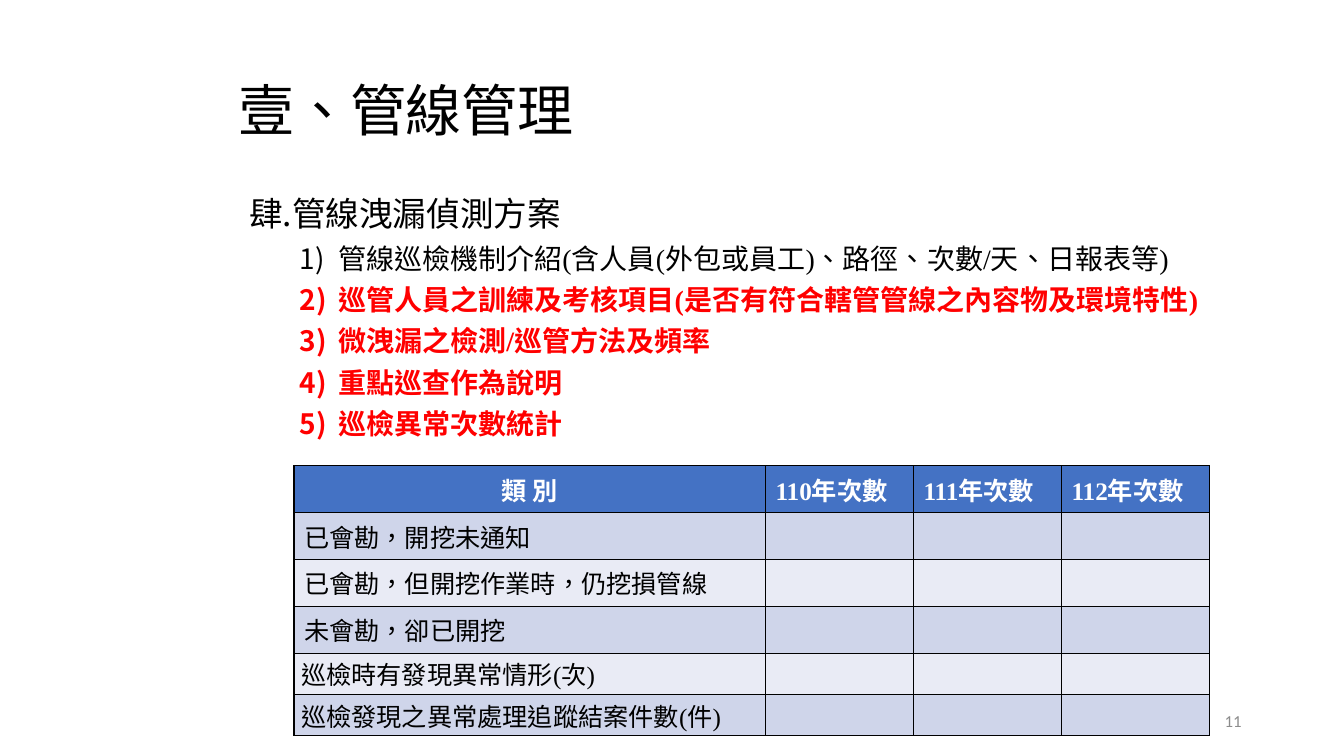
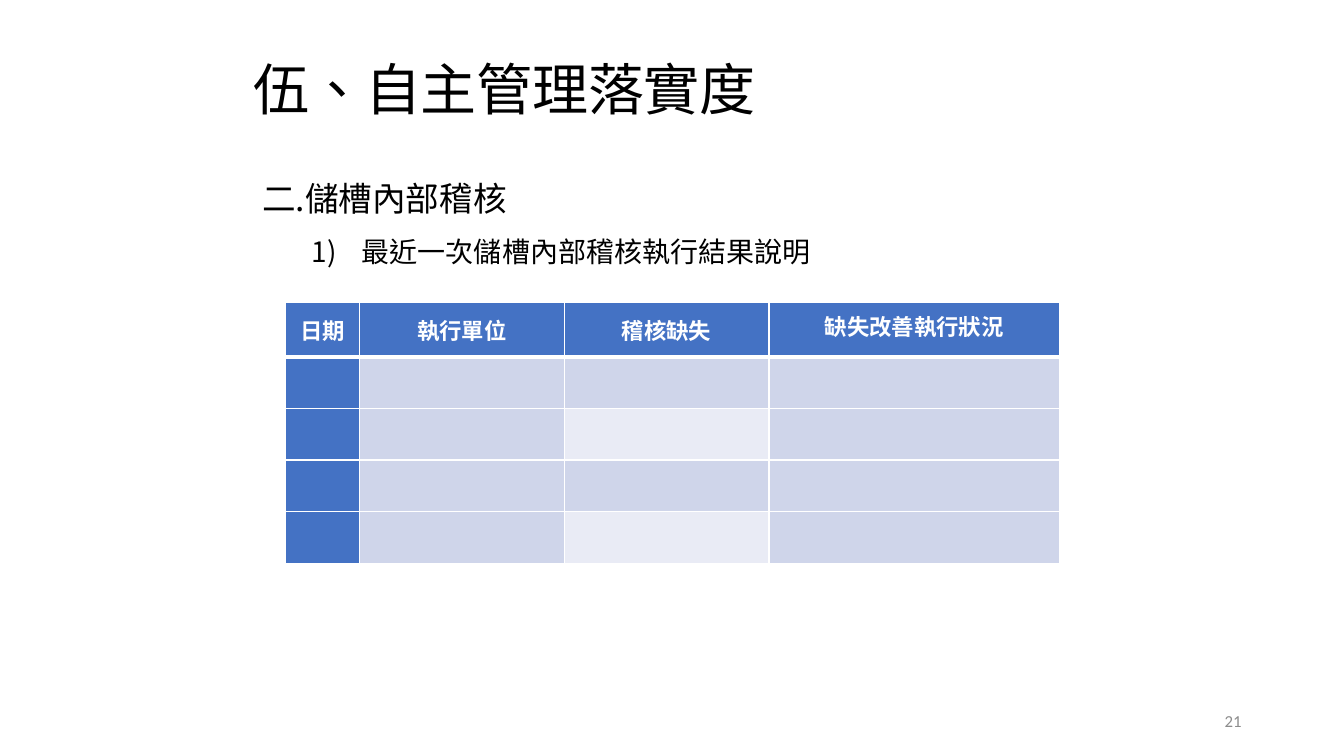
from lxml import etree
from pptx import Presentation
from pptx import util as u
from pptx.dml import color as dml
from pptx.enum import text as t
from pptx.oxml import ns

SANS, SERIF = "Noto Sans CJK SC", "Times New Roman"
BLACK, WHITE, RED, GREY = "000000", "FFFFFF", "FF0000", "8C8C8C"
BLUE, BAND, PALE = "4472C4", "CFD5EA", "E9EBF5"
LEFT, CENTER, RIGHT = t.PP_ALIGN.LEFT, t.PP_ALIGN.CENTER, t.PP_ALIGN.RIGHT
TOP, MIDDLE = t.MSO_ANCHOR.TOP, t.MSO_ANCHOR.MIDDLE


def rgb(value):
    return dml.RGBColor.from_string(value)


def write(para, text, size=18, font=SANS, color=BLACK, bold=False, align=LEFT,
          line=None, before=0, number=None, start=1, margin=0, hang=0):
    """Fill a paragraph with one formatted span, numbered on request."""
    para.alignment = align
    para.space_before = u.Pt(before)
    if line:
        para.line_spacing = line
    span = para.add_run()
    span.text = text
    span.font.size, span.font.bold, span.font.name = u.Pt(size), bold, font
    span.font.color.rgb = rgb(color)
    span.font._element.set("lang", "zh-TW")
    etree.SubElement(span.font._element, ns.qn("a:ea"), typeface=SANS)
    if number:
        props = para._p.get_or_add_pPr()
        props.set("marL", str(u.Cm(margin)))
        props.set("indent", str(-u.Cm(hang)))
        etree.SubElement(props, ns.qn("a:buFont"), typeface=SANS)
        etree.SubElement(props, ns.qn("a:buAutoNum"), type=number, startAt=str(start))
    return span


# Content of the two slides; lengths in centimetres
heading = dict(size=24, line=1.5)
item = dict(size=20, font=SERIF, line=0.9, before=8,
            number="arabicParenR", margin=2.24, hang=0.97)
alert = dict(item, color=RED, bold=True)
head = dict(color=WHITE, bold=True)
pages = [
    dict(
        title="壹、管線管理", title_at=(5.97, 2.08, 21.9, 1.55), title_fill=WHITE,
        font=SERIF, page="11",
        body_at=(6.03, 4.24, 25.78, 7.3), body_anchor=TOP,
        body=[
            ("管線洩漏偵測方案", dict(heading, font=SERIF, number="ea1ChtPeriod",
                              start=4, margin=0.64, hang=0.64)),
            ("管線巡檢機制介紹(含人員(外包或員工)、路徑、次數/天、日報表等)", item),
            ("巡管人員之訓練及考核項目(是否有符合轄管管線之內容物及環境特性)", alert),
            ("微洩漏之檢測/巡管方法及頻率", alert),
            ("重點巡查作為說明", alert),
            ("巡檢異常次數統計", alert),
        ],
        table_at=(7.41, 11.74), columns=[11.88] + [3.73] * 3,
        rows=[1.18] * 4 + [1.04] * 2,
        header=[("類 別", dict(head, align=CENTER))]
        + [(f"{year}年次數", head) for year in (110, 111, 112)],
        labels=["已會勘，開挖未通知", "已會勘，但開挖作業時，仍挖損管線", "未會勘，卻已開挖",
                "巡檢時有發現異常情形(次)", "巡檢發現之異常處理追蹤結案件數(件)"],
        fills=[[BAND] * 4, [PALE] * 4], tight_rows=(4, 5),
        border=BLACK, header_rule=1, text_size=18,
    ),
    dict(
        title="伍、自主管理落實度", title_at=(6.35, 1.55, 19.38, 1.55), title_fill=None,
        font=SANS, page="21",
        body_at=(6.36, 3.91, 19.89, 2.92), body_anchor=MIDDLE,
        body=[
            ("二.儲槽內部稽核", heading),
            ("最近一次儲槽內部稽核執行結果說明",
             dict(item, font=SANS, line=1.5, before=0, margin=2.51, hang=1.27)),
        ],
        table_at=(7.19, 7.62), columns=[1.87, 5.16, 5.16, 7.32],
        rows=[1.37] + [1.3] * 4,
        header=[(name, dict(head, align=CENTER)) for name in ("日期", "執行單位", "稽核缺失")]
        + [("缺失改善執行狀況", dict(head, align=CENTER, line=u.Pt(18)))],
        labels=[],
        fills=[[BLUE, BAND, BAND, BAND], [BLUE, BAND, PALE, BAND]], tight_rows=(0,),
        border=WHITE, header_rule=3, text_size=16,
    ),
]

deck = Presentation()
deck.slide_width, deck.slide_height = u.Cm(33.87), u.Cm(19.05)

for content in pages:
    page = deck.slides.add_slide(deck.slide_layouts[5])

    # Title
    title = page.shapes.title
    title.left, title.top, title.width, title.height = map(u.Cm, content["title_at"])
    if content["title_fill"]:
        title.fill.solid()
        title.fill.fore_color.rgb = rgb(content["title_fill"])
    frame = title.text_frame
    frame.margin_left = u.Cm(0.04)
    frame.margin_right = frame.margin_top = frame.margin_bottom = 0
    frame.vertical_anchor = MIDDLE
    frame.auto_size = t.MSO_AUTO_SIZE.NONE
    span = write(frame.paragraphs[0], content["title"], size=40, font=content["font"], line=0.9)
    span.font._element.set("spc", "-10")

    # Numbered text
    box = page.shapes.add_textbox(*map(u.Cm, content["body_at"]))
    frame = box.text_frame
    frame.word_wrap = True
    frame.vertical_anchor = content["body_anchor"]
    for index, (text, style) in enumerate(content["body"]):
        para = frame.add_paragraph() if index else frame.paragraphs[0]
        write(para, text, **style)

    # Table
    columns, rows = content["columns"], content["rows"]
    table = page.shapes.add_table(
        len(rows), len(columns), *map(u.Cm, content["table_at"]),
        u.Cm(sum(columns)), u.Cm(sum(rows))).table
    for column, width in zip(table.columns, columns):
        column.width = u.Cm(width)
    for r, height in enumerate(rows):
        table.rows[r].height = u.Cm(height)
        for c in range(len(columns)):
            cell = table.cell(r, c)
            # Borders, with the rule under the header drawn by both neighbours
            props = cell._tc.get_or_add_tcPr()
            for side in "LRTB":
                on_rule = (r, side) in ((0, "B"), (1, "T"))
                weight = content["header_rule"] if on_rule else 1
                edge = etree.SubElement(props, ns.qn(f"a:ln{side}"), w=str(u.Pt(weight)))
                solid = etree.SubElement(edge, ns.qn("a:solidFill"))
                etree.SubElement(solid, ns.qn("a:srgbClr"), val=content["border"])
            cell.fill.solid()
            cell.fill.fore_color.rgb = rgb(content["fills"][(r - 1) % 2][c] if r else BLUE)
            if r in content["tight_rows"]:
                cell.margin_left = cell.margin_right = u.Cm(0.18)
                cell.margin_top = cell.margin_bottom = 0
                cell.vertical_anchor = MIDDLE
    entries = [(0, c, text, style) for c, (text, style) in enumerate(content["header"])]
    entries += [(r, 0, text, {}) for r, text in enumerate(content["labels"], 1)]
    for r, c, text, style in entries:
        write(table.cell(r, c).text_frame.paragraphs[0], text,
              size=content["text_size"], font=content["font"], **style)

    # Page number
    box = page.shapes.add_textbox(u.Cm(23.92), u.Cm(17.65), u.Cm(7.62), u.Cm(1.02))
    box.text_frame.word_wrap = True
    box.text_frame.vertical_anchor = MIDDLE
    write(box.text_frame.paragraphs[0], content["page"], size=12, font="Calibri",
          color=GREY, align=RIGHT)

deck.save("out.pptx")
